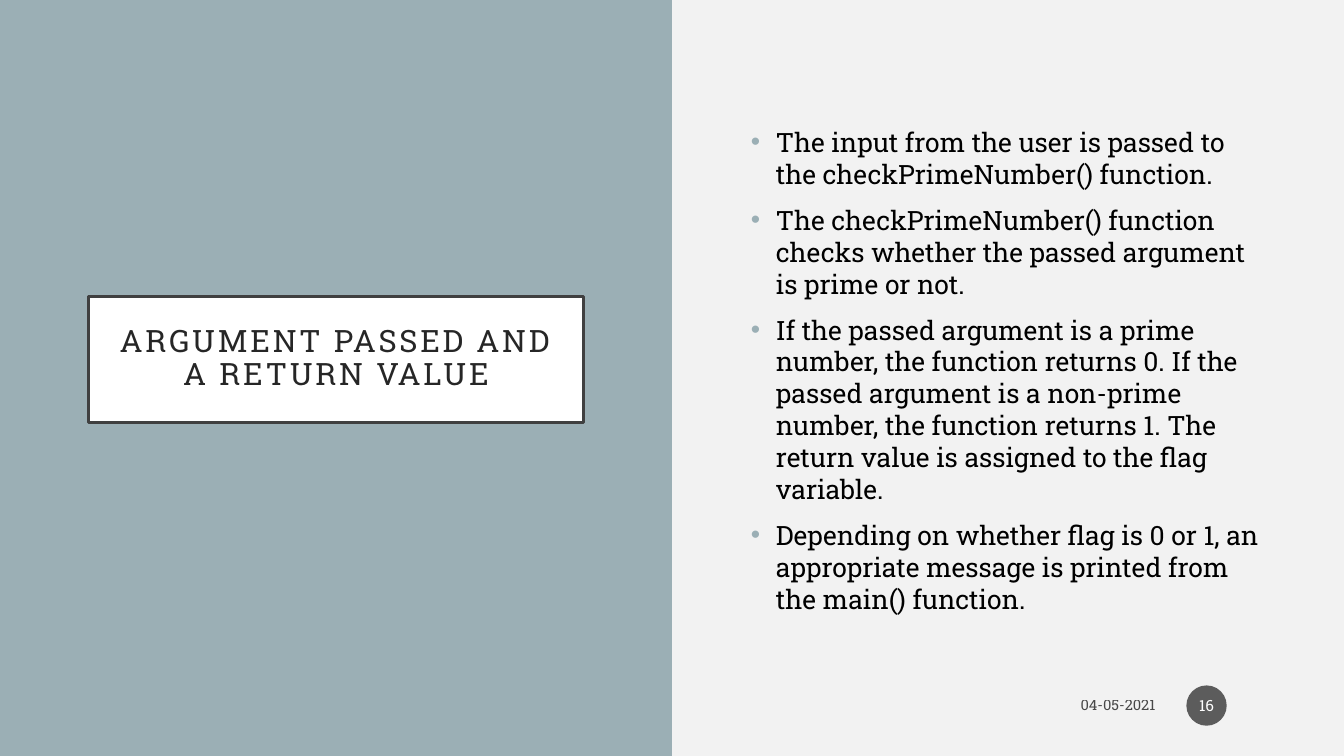
from dataclasses import dataclass

from lxml.etree import SubElement
from pptx import Presentation
from pptx.dml.color import RGBColor
from pptx.enum.shapes import MSO_SHAPE as SHAPE
from pptx.enum.text import MSO_ANCHOR as ANCHOR, MSO_AUTO_SIZE as FIT, PP_ALIGN as ALIGN
from pptx.oxml.ns import qn
from pptx.util import Inches, Pt


@dataclass(frozen=True)
class Theme:
    font: str = "Roboto Slab"
    page: str = "F2F2F2"
    accent: str = "9BAFB5"
    white: str = "FFFFFF"
    black: str = "000000"
    frame: str = "404040"
    title: str = "262626"
    badge: str = "1D1D1D"
    opacity: int = 70
    title_pt: float = 22
    body_pt: float = 19
    number_pt: float = 11
    date_pt: float = 10.5


class Deck:
    """Draws styled elements on one slide, placed on a 160 by 90 grid."""

    def __init__(self, theme):
        self.t = theme
        self.prs = Presentation()
        self.prs.slide_width, self.prs.slide_height = Inches(13.33), Inches(7.5)
        self.col, self.row = self.prs.slide_width / 160, self.prs.slide_height / 90
        self.s = self.prs.slides.add_slide(self.prs.slide_layouts[6])
        self.paint(self.s.background.fill, theme.page)

    def paint(self, fill, color):
        fill.solid()
        fill.fore_color.rgb = RGBColor.from_string(color)

    def place(self, x, y, w, h):
        return [round(v) for v in (x * self.col, y * self.row, w * self.col, h * self.row)]

    def fade(self, element):
        for color in element.iter(qn("a:srgbClr")):
            SubElement(color, qn("a:alpha"), val=str(self.t.opacity * 1000))

    def shape(self, kind, box, fill, line=None):
        sp = self.s.shapes.add_shape(kind, *self.place(*box))
        sp.shadow.inherit = False
        self.paint(sp.fill, fill)
        if line:
            self.paint(sp.line.fill, line)
            sp.line.width = Pt(2.5)
        else:
            sp.line.fill.background()
        return sp

    def textbox(self, box):
        return self.s.shapes.add_textbox(*self.place(*box))

    def set_text(self, sp, text, size, color, align, anchor=ANCHOR.MIDDLE):
        tf = sp.text_frame
        tf.text = text
        tf.word_wrap = True
        tf.vertical_anchor = anchor
        for p in tf.paragraphs:
            p.alignment = align
            for r in p.runs:
                r.font.name, r.font.size = self.t.font, Pt(size)
                self.paint(r.font.fill, color)
        return tf

    def title(self, box, text):
        sp = self.shape(SHAPE.RECTANGLE, box, self.t.white, self.t.frame)
        tf = self.set_text(sp, text, self.t.title_pt, self.t.title, ALIGN.CENTER)
        tf.margin_left = tf.margin_right = tf.margin_top = tf.margin_bottom = Inches(0.2)
        p = tf.paragraphs[0]
        p.line_spacing = 0.9
        p.runs[0]._r.get_or_add_rPr().set("spc", "200")

    def bullets(self, box, items):
        sp = self.textbox(box)
        tf = self.set_text(sp, "\n".join(items), self.t.body_pt, self.t.black, ALIGN.LEFT, ANCHOR.TOP)
        tf.auto_size = FIT.SHAPE_TO_FIT_TEXT
        for i, p in enumerate(tf.paragraphs):
            p.space_before = Pt(10 if i else 0)
            pPr = p._p.get_or_add_pPr()
            pPr.set("marL", str(Inches(0.25)))
            pPr.set("indent", str(-Inches(0.25)))
            SubElement(SubElement(pPr, qn("a:buClr")), qn("a:srgbClr"), val=self.t.accent)
            SubElement(pPr, qn("a:buFont"), typeface="Arial")
            SubElement(pPr, qn("a:buChar"), char="•")

    def date(self, box, text):
        sp = self.textbox(box)
        self.set_text(sp, text, self.t.date_pt, self.t.black, ALIGN.RIGHT)
        self.fade(sp._element)

    def page_number(self, box, text):
        sp = self.shape(SHAPE.OVAL, box, self.t.badge)
        self.fade(sp._element)
        tf = self.set_text(sp, text, self.t.number_pt, self.t.white, ALIGN.CENTER)
        tf.margin_left = tf.margin_right = Inches(0.02)


def main():
    deck = Deck(Theme())
    deck.shape(SHAPE.RECTANGLE, (0, 0, 80, 90), deck.t.accent)
    deck.title((10.56, 35.28, 58.92, 15), "ARGUMENT PASSED AND A RETURN VALUE")
    deck.date((102.6, 81.84, 36.12, 4.2), "04-05-2021")
    deck.page_number((141.24, 81.6, 4.8, 4.8), "16")
    deck.bullets((88.2, 14.4, 63.24, 65.52), [
        "The input from the user is passed to the checkPrimeNumber() function.",
        "The checkPrimeNumber() function checks whether the passed argument is prime or not.",
        "If the passed argument is a prime number, the function returns 0. "
        "If the passed argument is a non-prime number, the function returns 1. "
        "The return value is assigned to the flag variable.",
        "Depending on whether flag is 0 or 1, an appropriate message "
        "is printed from the main() function.",
    ])
    deck.prs.save("out.pptx")


if __name__ == "__main__":
    main()
